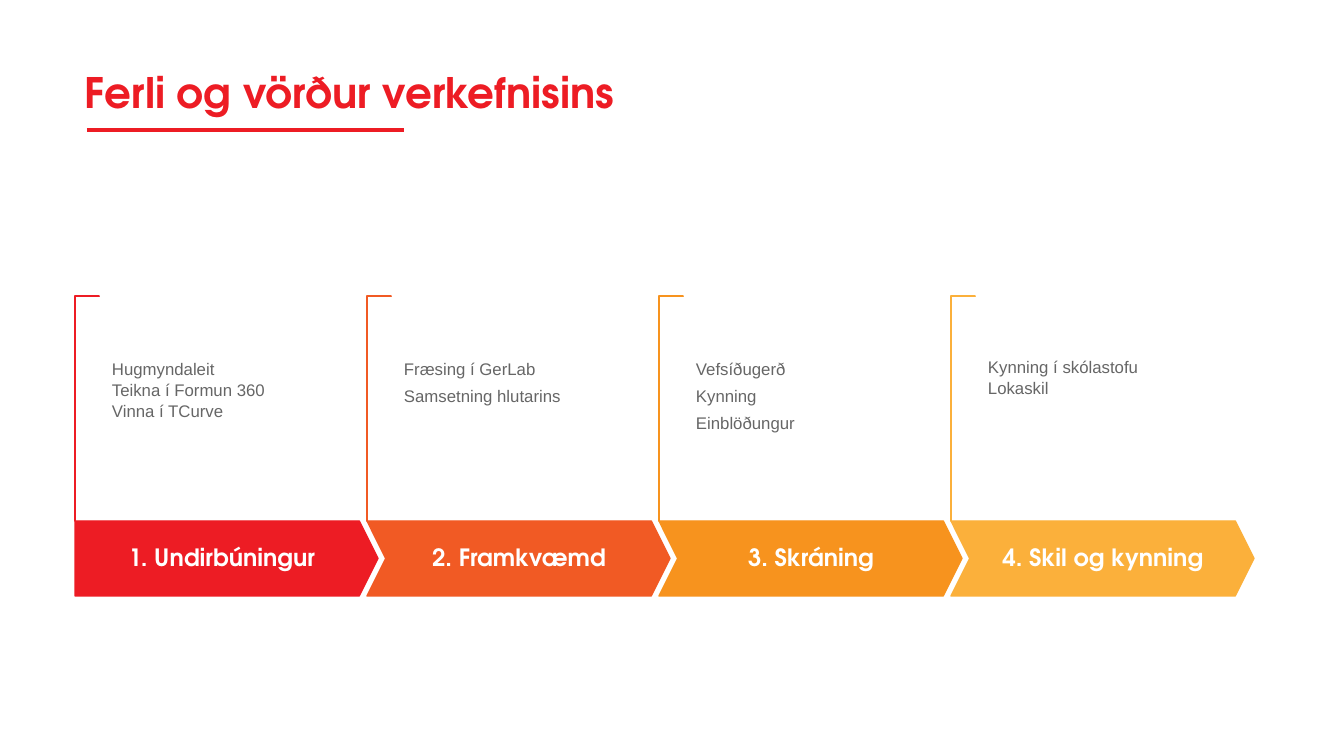
"""Build the slide of project phases with their milestones."""
from lxml import etree
from pptx import Presentation
from pptx.dml.color import RGBColor
from pptx.enum.shapes import MSO_CONNECTOR, MSO_SHAPE
from pptx.enum.text import MSO_ANCHOR, PP_ALIGN
from pptx.oxml.ns import qn
from pptx.util import Pt

TOP, MIDDLE = MSO_ANCHOR.TOP, MSO_ANCHOR.MIDDLE
LEFT, CENTER = PP_ALIGN.LEFT, PP_ALIGN.CENTER
CORNER, PENTAGON, CHEVRON = MSO_SHAPE.CORNER, MSO_SHAPE.PENTAGON, MSO_SHAPE.CHEVRON
STRAIGHT = MSO_CONNECTOR.STRAIGHT

RED = RGBColor(0xED, 0x1C, 0x24)
VERMILION = RGBColor(0xF1, 0x5A, 0x24)
ORANGE = RGBColor(0xF7, 0x93, 0x1E)
AMBER = RGBColor(0xFB, 0xB0, 0x3B)
WHITE = RGBColor(0xFF, 0xFF, 0xFF)
GREY = RGBColor(0x66, 0x66, 0x66)

TITLE = "Ferli og vörður verkefnisins"
PHASES = [
    ("1. Undirbúningur", RED, 0,
     ["Hugmyndaleit", "Teikna í Formun 360", "Vinna í TCurve"]),
    ("2. Framkvæmd", VERMILION, 4.2, ["Fræsing í GerLab", "Samsetning hlutarins"]),
    ("3. Skráning", ORANGE, 4.2, ["Vefsíðugerð", "Kynning", "Einblöðungur"]),
    ("4. Skil og kynning", AMBER, 0, ["Kynning í skólastofu", "Lokaskil"]),
]

HEADING = "TeX Gyre Adventor"
TITLE_FONT = {"name": HEADING, "size": Pt(30), "bold": True}
LABEL_FONT = {"name": HEADING, "size": Pt(17), "bold": True}
BODY_FONT = {"name": "Arial", "size": Pt(12)}

PX = 12192000 / 1344
START, PITCH = 75, 292
ARROW_TOP, ARROW_W, ARROW_H = 521, 303, 75
BRACKET_TOP, BRACKET_W, BRACKET_H = 296, 24, 225


def px(*values):
    """Turn pixels into EMU."""
    return [round(v * PX) for v in values]


def add_text(s, box, lines, font, color, insets, anchor=TOP, **spacing):
    """Add a text box with one paragraph per line."""
    tf = s.shapes.add_textbox(*px(*box)).text_frame
    tf.word_wrap = True
    tf.vertical_anchor = anchor
    for side, inset in zip(("left", "top", "right", "bottom"), px(*insets)):
        setattr(tf, "margin_" + side, inset)
    for i, line in enumerate(lines):
        p = tf.add_paragraph() if i else tf.paragraphs[0]
        for key, value in spacing.items():
            setattr(p, key, value)
        r = p.add_run()
        r.text = line
        r.font.color.rgb = color
        for key, value in font.items():
            setattr(r.font, key, value)


def add_outlined(s, kind, box, fill, line, adjustments):
    """Add a filled preset shape with a thin outline."""
    sp = s.shapes.add_shape(kind, *px(*box))
    sp.shadow.inherit = False
    sp.fill.solid()
    sp.fill.fore_color.rgb = fill
    sp.line.color.rgb = line
    sp.line.width = Pt(1)
    for i, value in enumerate(adjustments):
        sp.adjustments[i] = value
    return sp


def add_phase(s, index, label, color, gap, tasks):
    """Add one bracket, arrow, label and task list."""
    x = START + index * PITCH
    bracket_box = (x + (BRACKET_W - BRACKET_H) / 2,
                   BRACKET_TOP + (BRACKET_H - BRACKET_W) / 2, BRACKET_H, BRACKET_W)
    bracket = add_outlined(s, CORNER, bracket_box, WHITE, color, (0.01, 0.01))
    bracket.rotation = 90
    add_outlined(s, CHEVRON if index else PENTAGON,
                 (x, ARROW_TOP, ARROW_W, ARROW_H), color, color, (0.25,))
    label_x, label_w = (x + 19, 266) if index else (x, 294)
    add_text(s, (label_x, ARROW_TOP, label_w, ARROW_H), [label], LABEL_FONT, WHITE,
             (12, 24, 12, 24), MIDDLE, alignment=CENTER, line_spacing=0.9,
             space_after=Pt(6))
    add_text(s, (x + 25, 311, 247, 153), tasks, BODY_FONT, GREY, (12, 47, 31, 0),
             alignment=LEFT, line_spacing=Pt(15), space_after=Pt(gap))


prs = Presentation()
prs.slide_width, prs.slide_height = px(1344, 756)
s = prs.slides.add_slide(prs.slide_layouts[6])

rule = s.shapes.add_connector(STRAIGHT, *px(87, 130, 404, 130))
rule.line.color.rgb = RED
rule.line.width = Pt(3)
etree.SubElement(rule.element.spPr, qn("a:effectLst"))
add_text(s, (75, 22, 1180, 146), [TITLE], TITLE_FONT, RED, (10, 5, 10, 5), MIDDLE,
         line_spacing=0.9)

for index, phase in enumerate(PHASES):
    add_phase(s, index, *phase)

prs.save("out.pptx")
